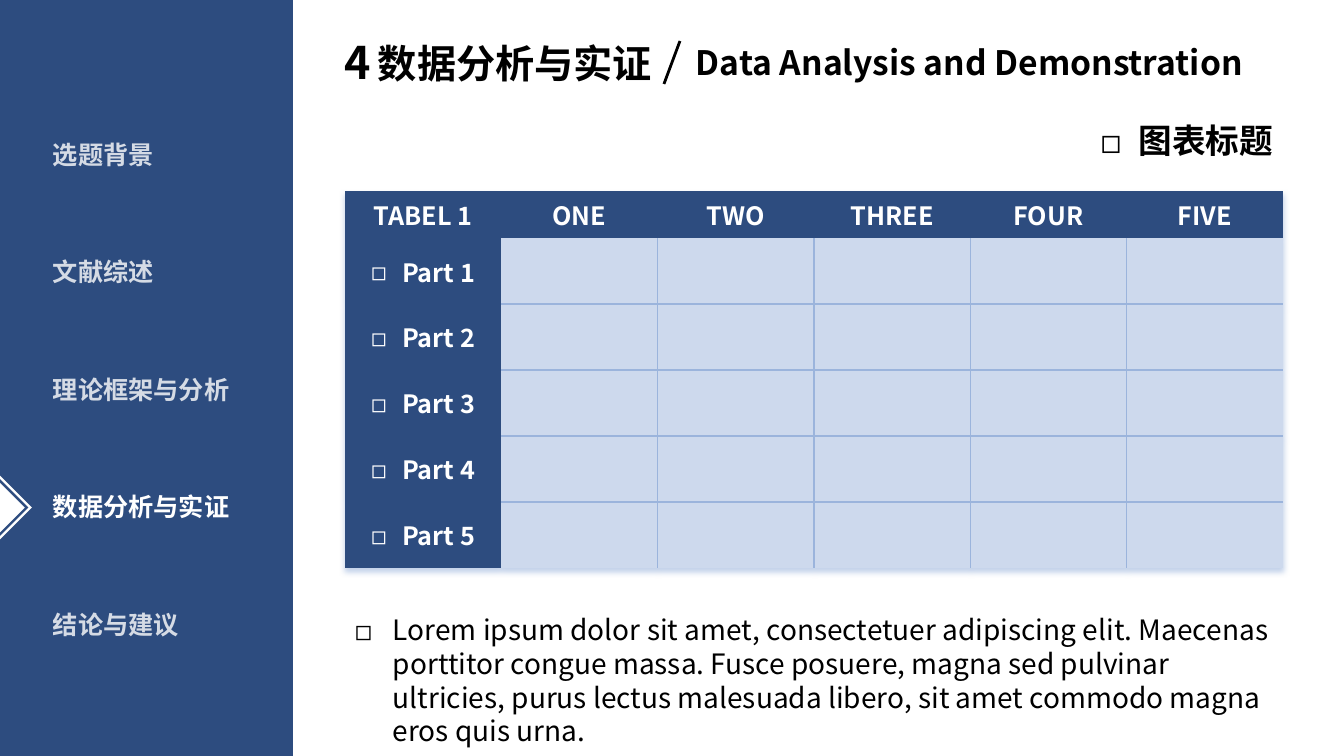
from dataclasses import dataclass

from lxml.etree import SubElement
from pptx import Presentation
from pptx.dml.color import RGBColor
from pptx.enum.shapes import MSO_CONNECTOR as Connector, MSO_SHAPE as Shape
from pptx.enum.text import MSO_ANCHOR as Anchor, PP_ALIGN as Align
from pptx.oxml import parse_xml
from pptx.oxml.ns import nsdecls, qn
from pptx.util import Emu, Pt


@dataclass(frozen=True)
class Theme:
    """Colours, type sizes and font of the slide."""
    navy: str = "2D4C7F"
    pale: str = "CDD9ED"
    rule: str = "9BB4DC"
    white: str = "FFFFFF"
    black: str = "000000"
    font: str = "Noto Sans CJK SC"
    number: int = 32
    title: int = 28
    subtitle: int = 24
    body: int = 20
    label: int = 18


THEME = Theme()
SECTIONS = ["选题背景", "文献综述", "理论框架与分析", "数据分析与实证", "结论与建议"]
CURRENT = 3
HEADINGS = ["TABEL 1", "ONE", "TWO", "THREE", "FOUR", "FIVE"]
PARTS = [f"Part {number}" for number in range(1, 6)]
SUMMARY = ("Lorem ipsum dolor sit amet, consectetuer adipiscing elit. Maecenas "
           "porttitor congue massa. Fusce posuere, magna sed pulvinar ultricies, "
           "purus lectus malesuada libero, sit amet commodo magna eros quis urna.")


def px(*lengths):
    """Turn pixel lengths into EMU."""
    return [Emu(round(length * 914400 / 100.8)) for length in lengths]


def rgb(color):
    """Turn a hex string into a colour."""
    return RGBColor.from_string(color)


def write(frame, text, size, color, bold=True, align=None, indent=0, alpha=100):
    """Fill a text frame with one styled paragraph, bulleted when indented."""
    frame.text = text
    paragraph = frame.paragraphs[0]
    if align is not None:
        paragraph.alignment = align
    if indent:
        hang, = px(indent)
        properties = paragraph._p.get_or_add_pPr()
        properties.set("marL", str(hang))
        properties.set("indent", str(-hang))
        SubElement(properties, qn("a:buFont"), typeface=THEME.font)
        SubElement(properties, qn("a:buChar"), char="◻")
    run = paragraph.runs[0]
    run.font.size, run.font.bold, run.font.name = Pt(size), bold, THEME.font
    run.font.color.rgb = rgb(color)
    SubElement(run.font._element, qn("a:ea"), typeface=THEME.font)
    if alpha < 100:
        tint = run.font._element.find(".//" + qn("a:srgbClr"))
        SubElement(tint, qn("a:alpha"), val=str(alpha * 1000))


def add_text(slide, box, text, size, color=THEME.black, wrap=True, **style):
    """Add a text box."""
    frame = slide.shapes.add_textbox(*px(*box)).text_frame
    frame.word_wrap = wrap
    write(frame, text, size, color, **style)


def add_block(slide, preset, box, color):
    """Add a flat shape without an outline."""
    block = slide.shapes.add_shape(preset, *px(*box))
    block.shadow.inherit = False
    block.fill.solid()
    block.fill.fore_color.rgb = rgb(color)
    block.line.fill.background()
    return block


def add_sidebar(slide, box):
    """Draw the navigation column with a marker at the current section."""
    left, top, width, height = box
    add_block(slide, Shape.RECTANGLE, box, THEME.navy)
    first, step = top + 134, 117.5
    for index, section in enumerate(SECTIONS):
        add_text(slide, (left + 43, first + index * step, 200, 40), section,
                 THEME.label, THEME.white, align=Align.JUSTIFY,
                 alpha=100 if index == CURRENT else 80)
    middle = first + CURRENT * step + 21
    for side, color in [(45, THEME.white), (40, THEME.navy), (35, THEME.white)]:
        marker = add_block(slide, Shape.RIGHT_TRIANGLE,
                           (left - side / 2, middle - side / 2, side, side), color)
        marker.rotation = 225


def add_header(slide, box):
    """Write the section number and its title in two languages."""
    left, top, width, height = box
    add_text(slide, (left, top, 43, height), "4", THEME.number, wrap=False)
    add_text(slide, (left + 33, top + 4, 318, 57), SECTIONS[CURRENT], THEME.title)
    add_text(slide, (left + 351, top + 7, width - 351, 50),
             "Data Analysis and Demonstration", THEME.subtitle)
    slash = slide.shapes.add_connector(
        Connector.STRAIGHT, *px(left + 345, top + 11, left + 329, top + 54))
    slash.line.color.rgb = rgb(THEME.black)
    slash.line.width = Pt(2)
    SubElement(slash._element.spPr, qn("a:effectLst"))


def add_borders(cell, sides):
    """Rule the named sides of a cell and clear the others."""
    properties = cell._tc.get_or_add_tcPr()
    for position, side in enumerate("LRTB"):
        paint = (f'<a:solidFill><a:srgbClr val="{THEME.rule}"/></a:solidFill>'
                 if side in sides else "<a:noFill/>")
        properties.insert(position, parse_xml(
            f'<a:ln{side} {nsdecls("a")} w="12700">{paint}</a:ln{side}>'))


def add_data_table(slide, box):
    """Draw the empty data grid with its headings and part names."""
    rows, columns = len(PARTS) + 1, len(HEADINGS)
    table = slide.shapes.add_table(rows, columns, *px(*box)).table
    heading_height = 47
    part_height = (box[3] - heading_height) / len(PARTS)
    for column in table.columns:
        column.width, = px(box[2] / columns)
    for index, row in enumerate(table.rows):
        row.height, = px(part_height if index else heading_height)
        for place, cell in enumerate(row.cells):
            inner = index > 0 and place > 0
            cell.fill.solid()
            cell.fill.fore_color.rgb = rgb(THEME.pale if inner else THEME.navy)
            cell.vertical_anchor = Anchor.MIDDLE
            edges = {"L": place > 1, "R": place < columns - 1,
                     "T": index > 1, "B": index < rows - 1}
            add_borders(cell, [side for side in edges if inner and edges[side]])
            if not inner:
                write(cell.text_frame, PARTS[index - 1] if index else HEADINGS[place],
                      THEME.label, THEME.white, align=Align.CENTER,
                      indent=31 if index else 0)
    table._tbl.tblPr.insert(0, parse_xml(
        f'<a:effectLst {nsdecls("a")}><a:outerShdw blurRad="50800" dist="38100" '
        f'dir="5400000" algn="t" rotWithShape="0"><a:srgbClr val="{THEME.rule}">'
        '<a:alpha val="60000"/></a:srgbClr></a:outerShdw></a:effectLst>'))


def add_content(slide, box):
    """Stack the chart title, the table and the summary."""
    left, top, width, height = box
    add_text(slide, (left, top, width, 50), "图表标题", THEME.subtitle,
             align=Align.RIGHT, indent=38)
    add_data_table(slide, (left, top + 76, width, 377))
    add_text(slide, (left, top + 493, width, 112), SUMMARY, THEME.body,
             bold=False, indent=38)


def main():
    """Build and save the slide."""
    deck = Presentation()
    deck.slide_width, deck.slide_height = px(1344, 756)
    slide = deck.slides.add_slide(deck.slide_layouts[6])
    add_sidebar(slide, (0, 0, 293, 756))
    add_header(slide, (335, 30, 948, 64))
    add_content(slide, (345, 115, 938, 605))
    deck.save("out.pptx")


if __name__ == "__main__":
    main()
